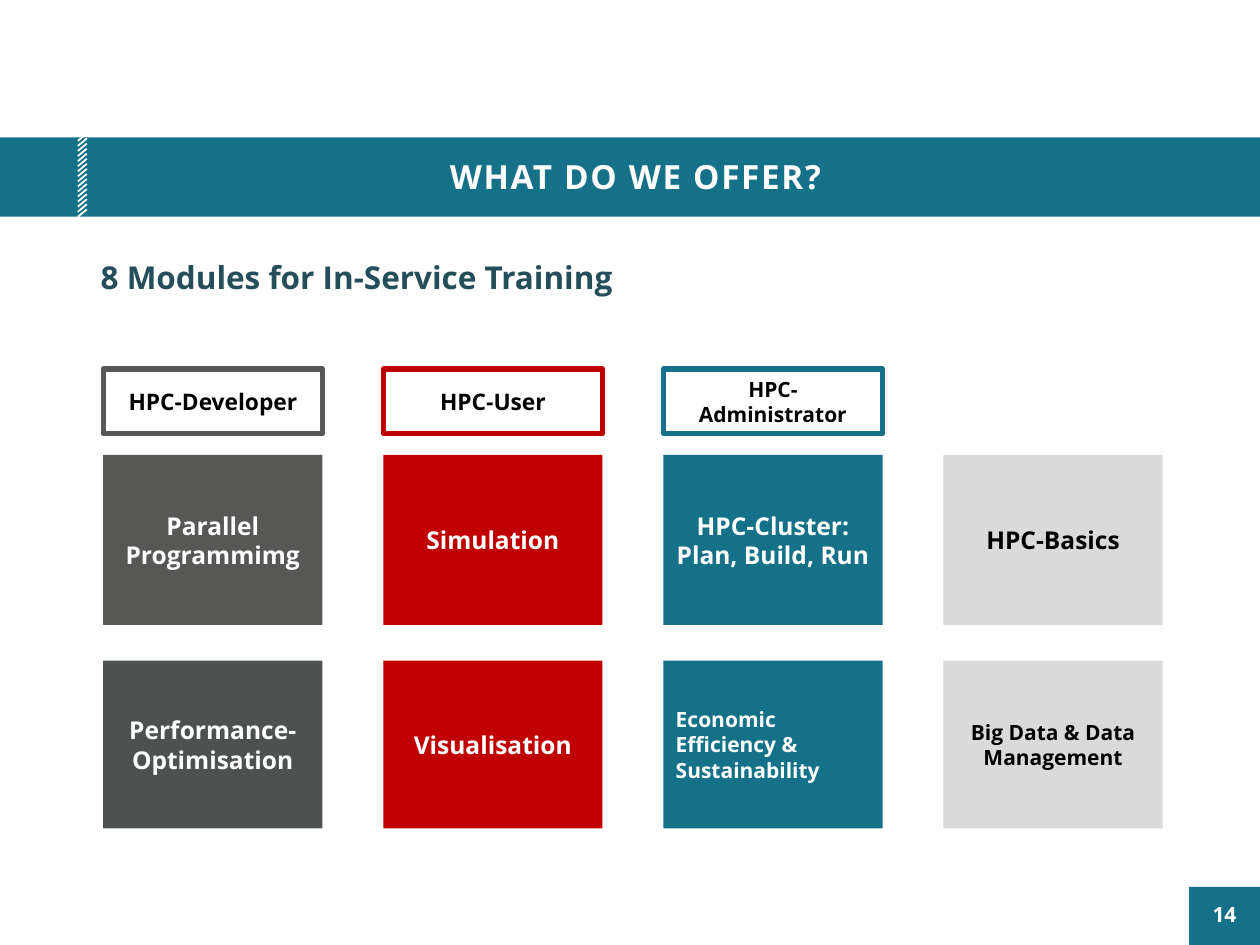
from pptx import Presentation
from pptx.dml.color import RGBColor
from pptx.enum import shapes, text
from pptx.oxml.ns import qn
from pptx.util import Cm, Pt
from lxml import etree

TEAL, RED, GREY, SLATE, LIGHT = "147188", "C00000", "575756", "4D5251", "DADADA"
WHITE, BLACK, HEADING = "FFFFFF", "000000", "244E59"
CENTER, LEFT = text.PP_ALIGN.CENTER, text.PP_ALIGN.LEFT

# Each column: role label (words, size), then modules (words, size, fill, alignment)
COLUMNS = [
    (GREY, ("HPC-Developer", 13),
     [("Parallel Programmimg", 14, GREY, CENTER),
      ("Performance-Optimisation", 14, SLATE, CENTER)]),
    (RED, ("HPC-User", 13),
     [("Simulation", 14, RED, CENTER),
      ("Visualisation", 14, RED, CENTER)]),
    (TEAL, ("HPC-Administrator", 12),
     [("HPC-Cluster:\nPlan, Build, Run", 14, TEAL, CENTER),
      ("Economic Efficiency & Sustainability", 12, TEAL, LEFT)]),
    (LIGHT, None,
     [("HPC-Basics", 14, LIGHT, CENTER),
      ("Big Data & Data Management", 12, LIGHT, CENTER)]),
]


def rgb(value):
    return RGBColor.from_string(value)


def write(sp, words, size, color, align=CENTER, line_spacing=1.0, tracking=0):
    """Fill a shape with bold text; tracking is in hundredths of a point."""
    tf = sp.text_frame
    tf.word_wrap = True
    tf.vertical_anchor = text.MSO_ANCHOR.MIDDLE
    tf.text = words
    font_format = {"name": "Open Sans", "size": Pt(size), "bold": True}
    for p in tf.paragraphs:
        p.alignment = align
        p.line_spacing = line_spacing
        for r in p.runs:
            for name, value in font_format.items():
                setattr(r.font, name, value)
            r.font.color.rgb = rgb(color)
            if tracking:
                r.font._element.set("spc", str(tracking))


def add_box(s, x, y, w, h, fill=None, outline=None):
    sp = s.shapes.add_shape(shapes.MSO_SHAPE.RECTANGLE, Cm(x), Cm(y), Cm(w), Cm(h))
    sp.shadow.inherit = False
    if fill:
        sp.fill.solid()
        sp.fill.fore_color.rgb = rgb(fill)
    else:
        sp.fill.background()
    if outline:
        sp.line.color.rgb = rgb(outline)
        sp.line.width = Pt(3)
    else:
        sp.line.fill.background()
    return sp


def add_hatch(s, x, y, w, h, count=16, rise=0.15):
    """Stack short slanted strokes evenly down a narrow strip."""
    pitch = (h - rise) / (count - 1)
    for i in range(count):
        top = y + i * pitch
        stroke = s.shapes.add_connector(
            shapes.MSO_CONNECTOR.STRAIGHT, Cm(x + w), Cm(top), Cm(x), Cm(top + rise))
        stroke.line.color.rgb = rgb(WHITE)
        stroke.line.width = Pt(1)
        etree.SubElement(stroke._element.spPr, qn("a:effectLst"))


def add_title_band(s, x, y, w, h):
    add_box(s, x, y, w, h, fill=TEAL)
    add_hatch(s, x + 1.57, y - 0.08, 0.18, 1.68)
    title = s.shapes.add_textbox(Cm(x + 1.78), Cm(y + 0.05), Cm(22.07), Cm(h - 0.03))
    write(title, "WHAT DO WE OFFER?", 19, WHITE, line_spacing=0.9, tracking=100)


def add_heading(s, x, y, w, h):
    heading = s.shapes.add_textbox(Cm(x), Cm(y), Cm(w), Cm(h))
    write(heading, "8 Modules for In-Service Training", 18, HEADING, LEFT, 0.9)


def add_modules(s, x, y, w, h):
    """Draw the columns: a role label on top, two module boxes below."""
    box_w = 4.42
    pitch = (w - box_w) / (len(COLUMNS) - 1)
    rows = [(y + 1.73, 3.43), (y + h - 3.38, 3.38)]
    for i, (color, label, modules) in enumerate(COLUMNS):
        left = x + i * pitch
        if label:
            write(add_box(s, left, y, box_w, 1.3, outline=color), *label, BLACK)
        for (top, height), (words, size, fill, align) in zip(rows, modules):
            ink = BLACK if fill == LIGHT else WHITE
            write(add_box(s, left, top, box_w, height, fill), words, size, ink, align)


def add_page_number(s, x, y, w, h):
    write(add_box(s, x, y, w, h, fill=TEAL), "14", 12, WHITE, line_spacing=0.9)


def main():
    prs = Presentation()
    prs.slide_width, prs.slide_height = Cm(25.4), Cm(19.05)
    s = prs.slides.add_slide(prs.slide_layouts[6])
    add_title_band(s, 0, 2.77, 25.4, 1.6)
    add_heading(s, 1.78, 4.9, 22.07, 1.47)
    add_modules(s, 2.08, 7.44, 21.36, 9.26)
    add_page_number(s, 23.97, 17.88, 1.43, 1.17)
    prs.save("out.pptx")


if __name__ == "__main__":
    main()
